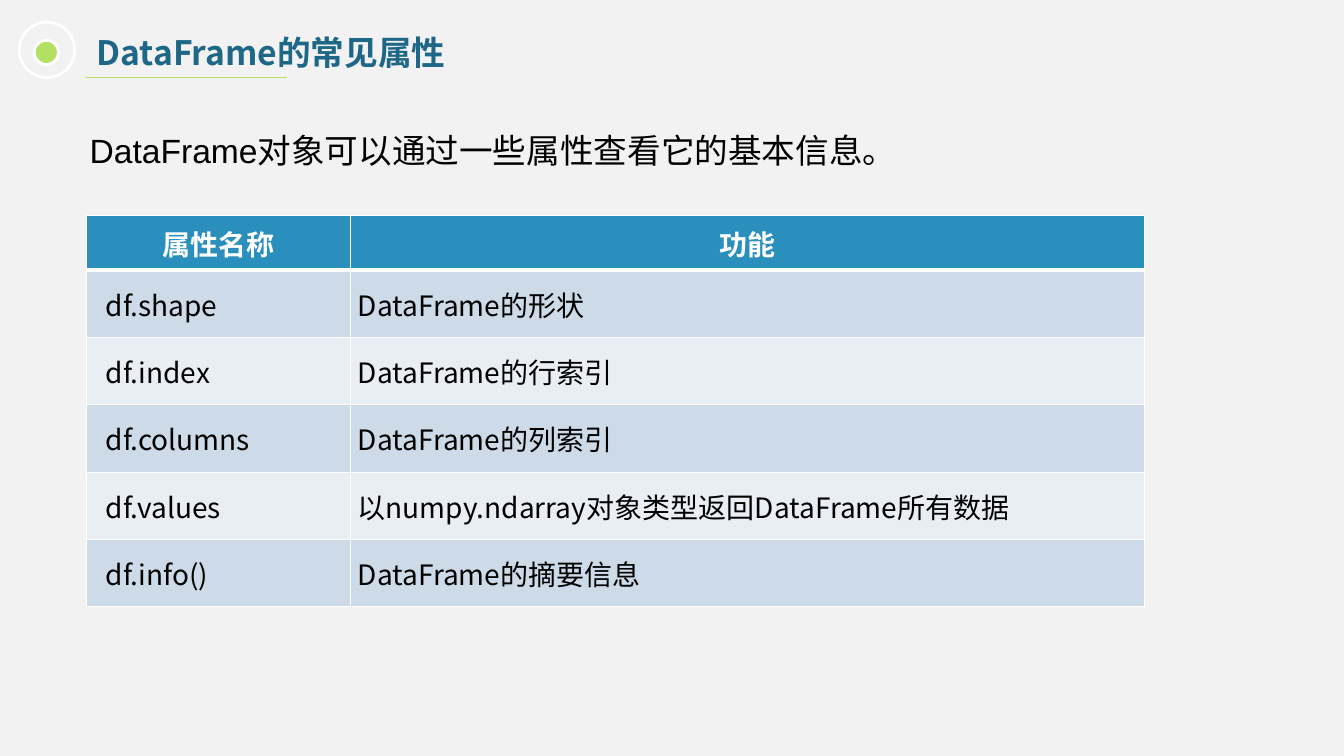
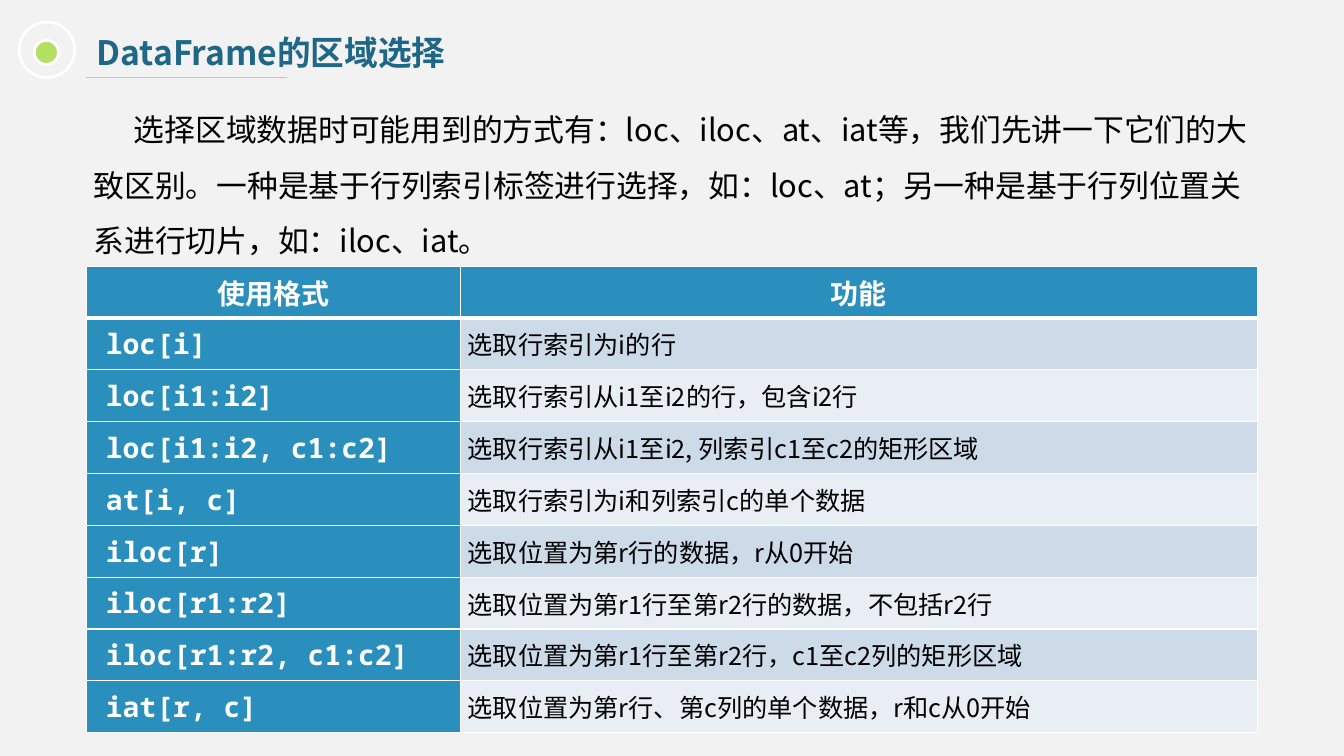
from lxml.etree import SubElement as sub
from pptx import Presentation
from pptx.dml.color import RGBColor
from pptx.enum.shapes import MSO_CONNECTOR as CONN, MSO_SHAPE as SHP
from pptx.enum.text import MSO_ANCHOR as ANC, PP_ALIGN as AL
from pptx.oxml.ns import qn
from pptx.util import Inches, Pt

C = {"back": "F2F2F2", "title": "1E6787", "accent": "B3DF63", "head": "2A8FBD",
     "odd": "CDDBE8", "even": "E8EEF4", "white": "FFFFFF", "text": "000000"}
RGB = {name: RGBColor.from_string(value) for name, value in C.items()}
SANS, MONO = "Noto Sans CJK SC", "Noto Sans Mono"

prs = Presentation()
prs.slide_width, prs.slide_height = Inches(13.33), Inches(7.5)
COL, ROW = prs.slide_width / 100, prs.slide_height / 100  # 100 x 100 grid


def grid(*lengths):
    """Turn alternating columns and rows into slide lengths."""
    return [int(n * (ROW if i % 2 else COL)) for i, n in enumerate(lengths)]


def write(tf, text, size=20, font=SANS, color="text", bold=False,
          align=AL.LEFT, spacing=None, indent=0):
    tf.word_wrap = True
    p = tf.paragraphs[0]
    p.alignment, p.line_spacing = align, spacing
    if indent:
        pPr = p._p.get_or_add_pPr()
        pPr.set("marL", "0")
        pPr.set("indent", str(int(indent * COL)))
    r = p.add_run()
    r.text = text
    r.font.size, r.font.name, r.font.bold = Pt(size), font, bold
    r.font.color.rgb = RGB[color]
    sub(r._r.get_or_add_rPr(), qn("a:ea"), typeface=SANS)


slides = [
    {"title": "DataFrame的常见属性",
     "intro": "DataFrame对象可以通过一些属性查看它的基本信息。",
     "intro_box": (5.93, 13.87, 77.27, 8.53),
     "intro_style": dict(size=24, font="Arial"),
     "top": 28.53, "cols": (19.65, 59.03), "head_row": 7.2, "body_row": 8.91,
     "key_fill": None, "key_style": {}, "value_size": 20,
     "rows": [("属性名称", "功能"),
              ("df.shape", "DataFrame的形状"),
              ("df.index", "DataFrame的行索引"),
              ("df.columns", "DataFrame的列索引"),
              ("df.values", "以numpy.ndarray对象类型返回DataFrame所有数据"),
              ("df.info()", "DataFrame的摘要信息")]},
    {"title": "DataFrame的区域选择",
     "intro": "选择区域数据时可能用到的方式有：loc、iloc、at、iat等，我们先讲一下它们的大致区别。"
              "一种是基于行列索引标签进行选择，如：loc、at；"
              "另一种是基于行列位置关系进行切片，如：iloc、iat。",
     "intro_box": (6.23, 11.6, 87.85, 23.6),
     "intro_style": dict(size=22, indent=3),
     "top": 35.2, "cols": (27.83, 59.26), "head_row": 6.86, "body_row": 6.86,
     "key_fill": "head", "key_style": dict(font=MONO, color="white", bold=True),
     "value_size": 18,
     "rows": [("使用格式", "功能"),
              ("loc[i]", "选取行索引为i的行"),
              ("loc[i1:i2]", "选取行索引从i1至i2的行，包含i2行"),
              ("loc[i1:i2, c1:c2]", "选取行索引从i1至i2, 列索引c1至c2的矩形区域"),
              ("at[i, c]", "选取行索引为i和列索引c的单个数据"),
              ("iloc[r]", "选取位置为第r行的数据，r从0开始"),
              ("iloc[r1:r2]", "选取位置为第r1行至第r2行的数据，不包括r2行"),
              ("iloc[r1:r2, c1:c2]", "选取位置为第r1行至第r2行，c1至c2列的矩形区域"),
              ("iat[r, c]", "选取位置为第r行、第c列的单个数据，r和c从0开始")]},
]

for d in slides:
    s = prs.slides.add_slide(prs.slide_layouts[6])
    s.background.fill.solid()
    s.background.fill.fore_color.rgb = RGB["back"]

    # Title with dot, ring and rule
    tb = s.shapes.add_textbox(*grid(6.45, 3.6, 37.6, 6.67))
    write(tb.text_frame, d["title"], size=24, color="title", bold=True)
    for x, y, w, fill in ((2.55, 5.33, 1.8, "accent"), (1.43, 2.93, 4.13, None)):
        side = grid(w)[0]
        sp = s.shapes.add_shape(SHP.OVAL, *grid(x, y), side, side)
        sp.shadow.inherit = False
        sp.line.color.rgb, sp.line.width = RGB["white"], Pt(2)
        if fill:
            sp.fill.solid()
            sp.fill.fore_color.rgb = RGB[fill]
        else:
            sp.fill.background()
    rule = s.shapes.add_connector(CONN.STRAIGHT, *grid(6.38, 10.27, 21.38, 10.27))
    rule.line.color.rgb, rule.line.width = RGB["accent"], Pt(0.75)
    sub(rule._element.spPr, qn("a:effectLst"))

    # Introduction
    tb = s.shapes.add_textbox(*grid(*d["intro_box"]))
    write(tb.text_frame, d["intro"], spacing=1.5, **d["intro_style"])

    # Table
    n = len(d["rows"])
    height = d["head_row"] + (n - 1) * d["body_row"]
    tbl = s.shapes.add_table(n, 2, *grid(6.45, d["top"], sum(d["cols"]), height)).table
    tbl.first_row = tbl.horz_banding = False
    for column, width in zip(tbl.columns, d["cols"]):
        column.width = int(width * COL)
    for i, texts in enumerate(d["rows"]):
        tbl.rows[i].height = int((d["body_row"] if i else d["head_row"]) * ROW)
        for j, text in enumerate(texts):
            cell = tbl.cell(i, j)
            cell.vertical_anchor = ANC.MIDDLE
            cell.margin_left = cell.margin_right = Inches(0.07)
            cell.margin_top = cell.margin_bottom = 0

            # White borders, heavier between header and body
            for edge in ("L", "R", "T", "B"):
                heavy = (i, edge) in ((0, "B"), (1, "T"))
                ln = sub(cell._tc.get_or_add_tcPr(), qn("a:ln" + edge),
                         w=str(Pt(3 if heavy else 1)))
                sub(sub(ln, qn("a:solidFill")), qn("a:srgbClr"), val=C["white"])

            fill = "odd" if i % 2 else "even"
            if i == 0:
                fill, style = "head", dict(color="white", bold=True, align=AL.CENTER)
            elif j == 0:
                fill, style = d["key_fill"] or fill, dict(indent=0.9, **d["key_style"])
            else:
                style = dict(size=d["value_size"])
            cell.fill.solid()
            cell.fill.fore_color.rgb = RGB[fill]
            write(cell.text_frame, text, **style)

prs.save("out.pptx")
